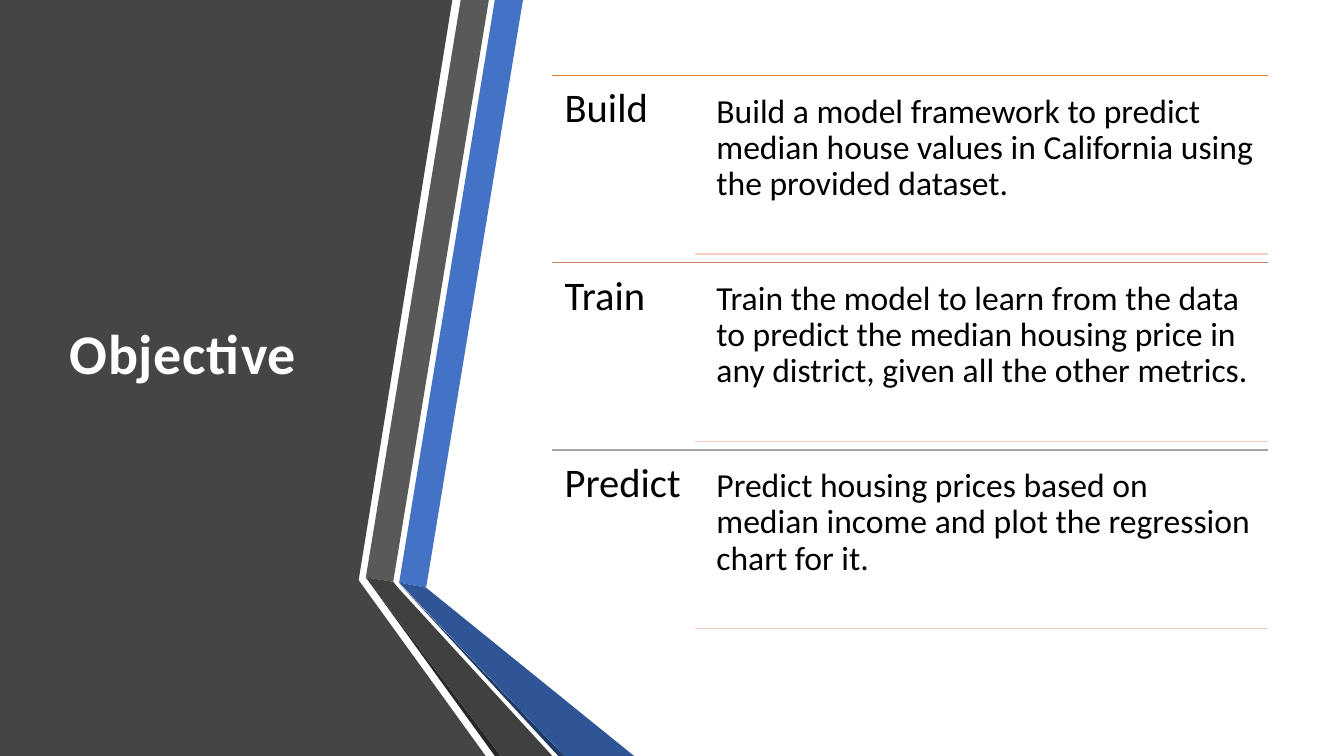
from dataclasses import dataclass

from lxml import etree
from pptx import Presentation
from pptx.dml.color import RGBColor
from pptx.enum.shapes import MSO_CONNECTOR
from pptx.enum.text import MSO_ANCHOR, MSO_AUTO_SIZE, PP_ALIGN
from pptx.oxml.ns import qn
from pptx.util import Cm, Pt

LINE = MSO_CONNECTOR.STRAIGHT
TOP, MIDDLE = MSO_ANCHOR.TOP, MSO_ANCHOR.MIDDLE
LEFT = PP_ALIGN.LEFT
FIXED = MSO_AUTO_SIZE.NONE
WIDE, HIGH = 33.87, 19.05


@dataclass(frozen=True)
class Theme:
    """Colours, font and type sizes of the deck."""
    font: str = "Calibri"
    ink: str = "000000"
    paper: str = "FFFFFF"
    panel: str = "454545"
    blue: str = "4472C4"
    navy: str = "2F5597"
    deep: str = "203864"
    grey: str = "595959"
    dark: str = "404040"
    black: str = "262626"
    pale: str = "F6CCBE"
    rules: tuple = ("ED7D31", "C48170", "A5A5A5")
    title: int = 40
    label: int = 29
    body: int = 24
    rule: int = 1


THEME = Theme()

BANDS = (
    (THEME.panel, ((0, 0), (11.4, 0), (9.04, 14.62), (12.24, HIGH), (0, HIGH))),
    (THEME.blue, ((10.06, 14.68), (10.74, 14.81), (13.18, 0), (12.47, 0))),
    (THEME.grey, ((12.32, 0), (11.61, 0), (9.22, 14.55), (9.91, 14.66))),
    (THEME.black, ((9.22, 14.55), (12.47, HIGH), (12.62, HIGH))),
    (THEME.deep, ((10.06, 14.7), (14.07, HIGH), (14.22, HIGH))),
    (THEME.navy, ((10.06, 14.68), (14.22, HIGH), (15.98, HIGH), (10.74, 14.81))),
    (THEME.dark, ((13.92, HIGH), (10.03, 14.81), (9.91, 14.66),
                  (9.22, 14.55), (12.62, HIGH))),
)

STEPS = (
    ("Build", "Build a model framework to predict median house values in "
              "California using the provided dataset."),
    ("Train", "Train the model to learn from the data to predict the median "
              "housing price in any district, given all the other metrics."),
    ("Predict", "Predict housing prices based on median income and plot the "
                "regression chart for it."),
)


def write(shape, text, size, color=THEME.ink, bold=False, anchor=TOP,
          inset=None, after=10, track=0):
    """Put one formatted paragraph into a shape."""
    frame = shape.text_frame
    frame.word_wrap, frame.auto_size = True, FIXED
    frame.vertical_anchor = anchor
    if inset is not None:
        frame.margin_left = frame.margin_right = Cm(inset)
        frame.margin_top = frame.margin_bottom = Cm(inset)
    para = frame.paragraphs[0]
    para.alignment, para.line_spacing = LEFT, 0.9
    para.space_before, para.space_after = Pt(0), Pt(after)
    run = para.add_run()
    run.text = text
    font = run.font
    font.name, font.size, font.bold = THEME.font, Pt(size), bold
    font.color.rgb = RGBColor.from_string(color)
    if track:
        font._element.set("spc", str(track))


def rule(slide, left, top, width, color):
    """Draw a thin level line."""
    line = slide.shapes.add_connector(
        LINE, Cm(left), Cm(top), Cm(left + width), Cm(top))
    line.line.width = Pt(THEME.rule)
    line.line.color.rgb = RGBColor.from_string(color)
    etree.SubElement(line._element.spPr, qn("a:effectLst"))


def band(slide, left, top, color, points):
    """Draw a filled outline, its points taken from the given corner."""
    spots = [(Cm(left + x), Cm(top + y)) for x, y in points]
    pen = slide.shapes.build_freeform(*spots[0])
    pen.add_line_segments(spots[1:], close=True)
    shape = pen.convert_to_shape()
    shape.shadow.inherit = False
    shape.fill.solid()
    shape.fill.fore_color.rgb = RGBColor.from_string(color)
    shape.line.fill.background()


def side(slide, left, top):
    """Build the dark side with its folded bands and the title."""
    for color, points in BANDS:
        band(slide, left, top, color, points)
    title = slide.shapes.title
    title.left, title.top = Cm(left + 1.5), Cm(top + 1.9)
    title.width, title.height = Cm(7.72), Cm(14.17)
    write(title, "Objective", THEME.title, color=THEME.paper, bold=True,
          anchor=MIDDLE, after=6, track=50)
    title.element.getparent().append(title.element)


def step(slide, left, top, width, height, label, text, color):
    """Build one step: a rule, its label, its text and a pale rule."""
    indent, gap = width / 5, 0.22
    start = indent + 0.28
    rule(slide, left, top, width, color)
    box = slide.shapes.add_textbox(Cm(left), Cm(top), Cm(indent), Cm(height))
    write(box, label, THEME.label, inset=0.31)
    box = slide.shapes.add_textbox(Cm(left + start), Cm(top + gap),
                                   Cm(width - start), Cm(height - 2 * gap))
    write(box, text, THEME.body, inset=0.25)
    rule(slide, left + indent, top + height - gap, width - indent, THEME.pale)


def steps(slide, left, top, width, height):
    """Stack the steps evenly in the box."""
    each = height / len(STEPS)
    for row, ((label, text), color) in enumerate(zip(STEPS, THEME.rules)):
        step(slide, left, top + row * each, width, each, label, text, color)


def main():
    """Make the deck and save it."""
    deck = Presentation()
    deck.slide_width, deck.slide_height = Cm(WIDE), Cm(HIGH)
    slide = deck.slides.add_slide(deck.slide_layouts[5])
    side(slide, 0, 0)
    steps(slide, 13.92, 1.9, 18.03, 14.16)
    deck.save("out.pptx")


if __name__ == "__main__":
    main()
